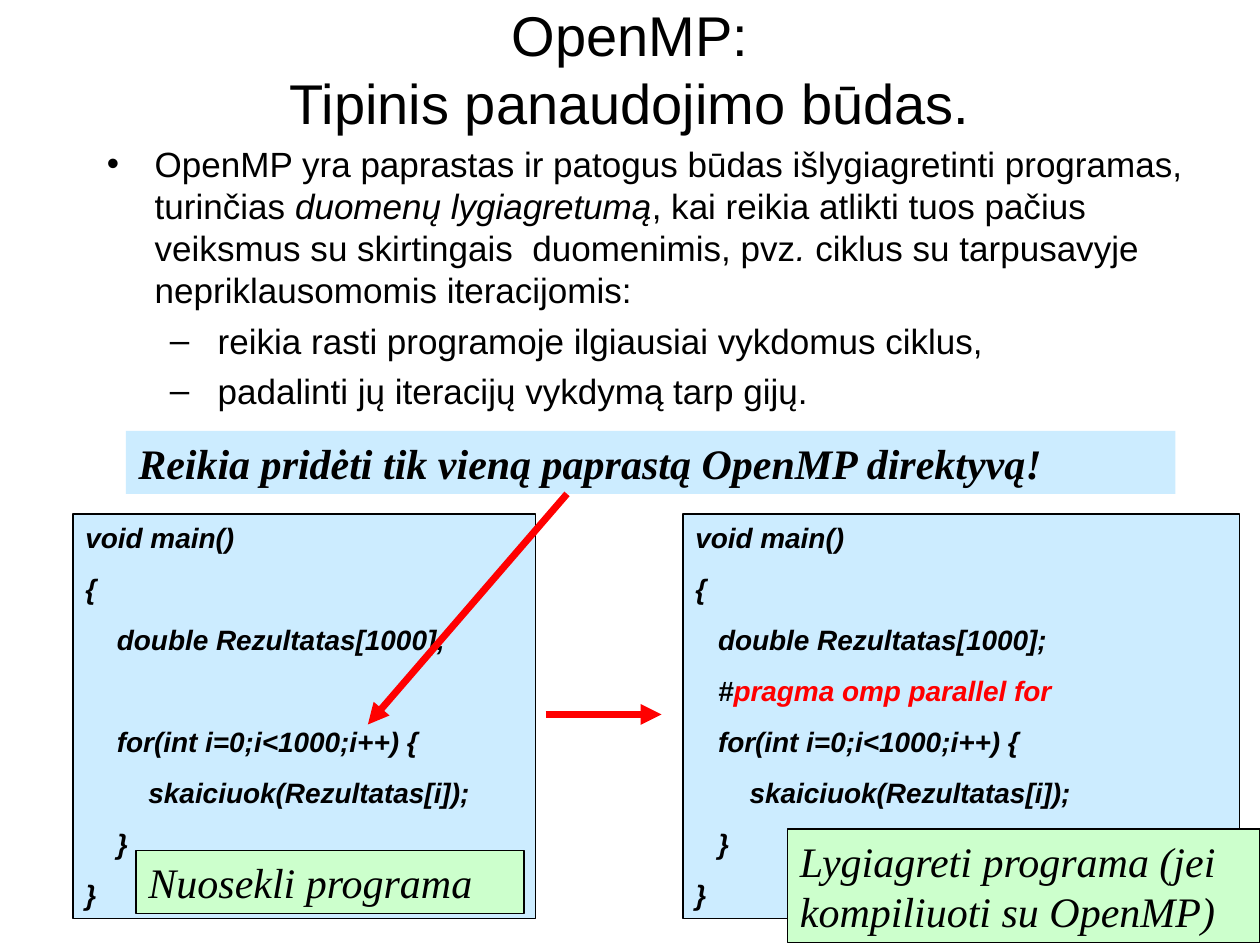
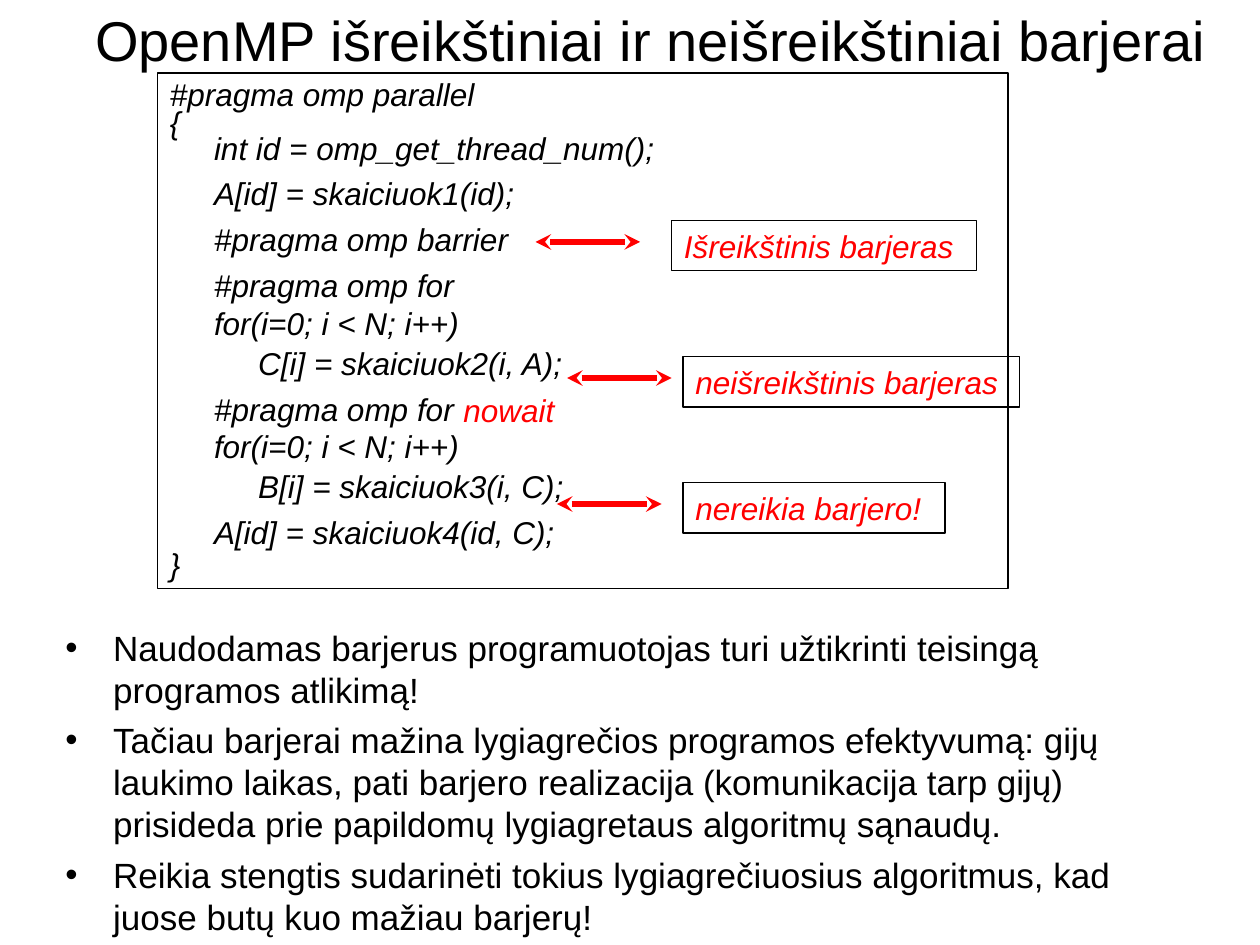
from lxml.etree import SubElement
from pptx import Presentation
from pptx.dml.color import RGBColor
from pptx.enum.shapes import MSO_CONNECTOR, MSO_SHAPE
from pptx.enum.text import MSO_ANCHOR, PP_ALIGN
from pptx.oxml.ns import qn
from pptx.util import Inches, Pt

BLACK = RGBColor(0x00, 0x00, 0x00)
RED = RGBColor(0xFF, 0x00, 0x00)
BLUE = RGBColor(0xCC, 0xEC, 0xFF)
GREEN = RGBColor(0xCC, 0xFF, 0xCC)
SANS = "Arial"
SERIF = "Times New Roman"


def add_box(page, place, fill=None, outlined=False):
    left, top, width, height = map(Inches, place)
    if fill or outlined:
        box = page.shapes.add_shape(MSO_SHAPE.RECTANGLE, left, top, width, height)
        box.shadow.inherit = False
        if fill:
            box.fill.solid()
            box.fill.fore_color.rgb = fill
        else:
            box.fill.background()
        if outlined:
            box.line.color.rgb = BLACK
            box.line.width = Pt(0.75)
        else:
            box.line.fill.background()
    else:
        box = page.shapes.add_textbox(left, top, width, height)
    frame = box.text_frame
    frame.word_wrap = True
    frame.vertical_anchor = MSO_ANCHOR.TOP
    return frame


def add_para(frame, spans, size, font=SANS, color=BLACK, bold=False, italic=False,
             before=0, spacing=None, margin=0, hanging=0, bullet=None):
    para = frame.paragraphs[0]
    if para.runs:
        para = frame.add_paragraph()
    for text in spans:
        para.add_run().text = text
    para.alignment = PP_ALIGN.LEFT
    para.space_before = Pt(before)
    if spacing:
        para.line_spacing = spacing
    properties = para._p.get_or_add_pPr()
    properties.set("marL", str(Inches(margin)))
    properties.set("indent", str(-Inches(hanging)))
    if bullet:
        SubElement(properties, qn("a:buFont"), typeface=SANS)
        SubElement(properties, qn("a:buChar"), char=bullet)
    para.font.name = font
    para.font.size = Pt(size)
    para.font.bold = bold
    para.font.italic = italic
    para.font.color.rgb = color
    return para


deck = Presentation()
deck.slide_width = Inches(10)
deck.slide_height = Inches(7.5)
blank = deck.slide_layouts[6]
usage_page = deck.slides.add_slide(blank)
barrier_page = deck.slides.add_slide(blank)

titles = [
    (usage_page, (0.75, 0, 8.5, 1.08), ["OpenMP:", "Tipinis panaudojimo būdas."]),
    (barrier_page, (0.33, 0, 9.67, 0.62), ["OpenMP išreikštiniai ir neišreikštiniai barjerai"]),
]
for page, place, lines in titles:
    frame = add_box(page, place)
    frame.vertical_anchor = MSO_ANCHOR.MIDDLE
    for line in lines:
        add_para(frame, [line], 32).alignment = PP_ALIGN.CENTER

frame = add_box(usage_page, (0.75, 1.08, 8.83, 2.25))
para = add_para(frame, [
    "OpenMP yra paprastas ir patogus būdas išlygiagretinti programas, turinčias ",
    "duomenų lygiagretumą",
    ", kai reikia atlikti tuos pačius veiksmus su skirtingais  duomenimis, pvz",
    ".",
    " ciklus su tarpusavyje nepriklausomomis iteracijomis:",
], 20, before=5, margin=0.38, hanging=0.38, bullet="•")
for span in para.runs[1::2]:
    span.font.italic = True
for step in ["reikia rasti programoje ilgiausiai vykdomus ciklus,",
             "padalinti jų iteracijų vykdymą tarp gijų."]:
    add_para(frame, [step], 20, before=5, margin=0.88, hanging=0.38, bullet="–")

CODE_GAP = 10
SKIPPED_LINE = 39
programs = [
    ((5.42, 4.08, 4.42, 3.21), 0.18, ["#", "pragma omp parallel for"], CODE_GAP),
    ((0.58, 4.08, 3.67, 3.21), 0.25, None, SKIPPED_LINE),
]
for place, indent, directive, loop_gap in programs:
    frame = add_box(usage_page, place, BLUE, outlined=True)
    code = [
        (["void main()"], 0, CODE_GAP),
        (["{"], 0, CODE_GAP),
        (["double Rezultatas[1000];"], indent, CODE_GAP),
        (directive, indent, CODE_GAP),
        (["for(int i=0;i<1000;i++) {"], indent, loop_gap),
        (["skaiciuok(Rezultatas[i]);"], indent + 0.25, CODE_GAP),
        (["}"], indent, CODE_GAP),
        (["}"], 0, CODE_GAP),
    ]
    for spans, margin, gap in code:
        if spans:
            para = add_para(frame, spans, 16, bold=True, italic=True, before=gap, margin=margin)
            for span in para.runs[1:]:
                span.font.color.rgb = RED

captions = [
    ("Reikia pridėti tik vieną paprastą OpenMP direktyvą!", (1, 3.42, 8.33, 0.5), BLUE, False),
    ("Nuosekli programa", (1.08, 6.75, 3.08, 0.5), GREEN, True),
    ("Lygiagreti programa (jei kompiliuoti su OpenMP)", (6.25, 6.58, 3.75, 0.9), GREEN, True),
]
for caption, place, fill, outlined in captions:
    frame = add_box(usage_page, place, fill, outlined)
    add_para(frame, [caption], 24, font=SERIF, bold=not outlined, italic=True, before=15)

frame = add_box(barrier_page, (0.42, 4.92, 8.92, 2.58))
for point in [
    "Naudodamas barjerus programuotojas turi užtikrinti teisingą programos atlikimą!",
    "Tačiau barjerai mažina lygiagrečios programos efektyvumą: gijų laukimo laikas, pati barjero "
    "realizacija (komunikacija tarp gijų) prisideda prie papildomų lygiagretaus algoritmų sąnaudų.",
    "Reikia stengtis sudarinėti tokius lygiagrečiuosius algoritmus, kad juose butų kuo mažiau barjerų!",
]:
    add_para(frame, [point], 20, before=5, margin=0.38, hanging=0.38, bullet="•")

frame = add_box(barrier_page, (1.25, 0.58, 6.75, 4.09), outlined=True)
barrier_code = [
    ("#pragma omp parallel", 0, 4.5, 0.9),
    ("{", 0, 0, 0.7),
    ("int id = omp_get_thread_num();", 1, 0, 0.7),
    ("A[id] = skaiciuok1(id);", 1, 6.8, 0.9),
    ("#pragma omp barrier", 1, 6.8, 0.9),
    ("#pragma omp for", 1, 6.8, 0.9),
    ("for(i=0; i < N; i++)", 1, 2.2, 0.9),
    ("C[i] = skaiciuok2(i, A);", 2, 3.4, 0.9),
    ("#pragma omp for", 1, 6.8, 0.9),
    ("for(i=0; i < N; i++)", 1, 2.2, 0.9),
    ("B[i] = skaiciuok3(i, C);", 2, 3.4, 0.9),
    ("A[id] = skaiciuok4(id, C);", 1, 6.8, 0.9),
    ("}", 0, 2.2, 0.7),
]
for line, depth, gap, spacing in barrier_code:
    add_para(frame, [line], 18, italic=True, before=gap, spacing=spacing, margin=0.35 * depth)

barrier_labels = [
    ("Išreikštinis barjeras", (5.33, 1.75, 2.42, 0.4)),
    ("neišreikštinis barjeras", (5.42, 2.83, 2.67, 0.4)),
    ("nereikia barjero!", (5.42, 3.83, 2.08, 0.4)),
]
for label, place in barrier_labels:
    frame = add_box(barrier_page, place, outlined=True)
    add_para(frame, [label], 18, color=RED, italic=True)

frame = add_box(barrier_page, (3.58, 3.08, 2.42, 0.32))
frame.margin_top = Inches(0.02)
frame.margin_bottom = 0
add_para(frame, ["nowait"], 18, color=RED, italic=True)

DIRECTED = [("a:tailEnd", "triangle")]
TWO_WAY = [("a:headEnd", "stealth"), ("a:tailEnd", "stealth")]
arrows = [
    (usage_page, (4.5, 3.92, 2.92, 5.75), 4, DIRECTED),
    (usage_page, (4.33, 5.67, 5.25, 5.67), 4, DIRECTED),
    (barrier_page, (4.25, 1.92, 5.08, 1.92), 3, TWO_WAY),
    (barrier_page, (4.5, 3, 5.33, 3), 3, TWO_WAY),
    (barrier_page, (4.42, 4, 5.25, 4), 3, TWO_WAY),
]
for page, ends, width, heads in arrows:
    arrow = page.shapes.add_connector(MSO_CONNECTOR.STRAIGHT, *map(Inches, ends))
    arrow.line.color.rgb = RED
    arrow.line.width = Pt(width)
    for tag, kind in heads:
        SubElement(arrow.line._get_or_add_ln(), qn(tag), type=kind)
    SubElement(arrow._element.spPr, qn("a:effectLst"))

deck.save("out.pptx")
